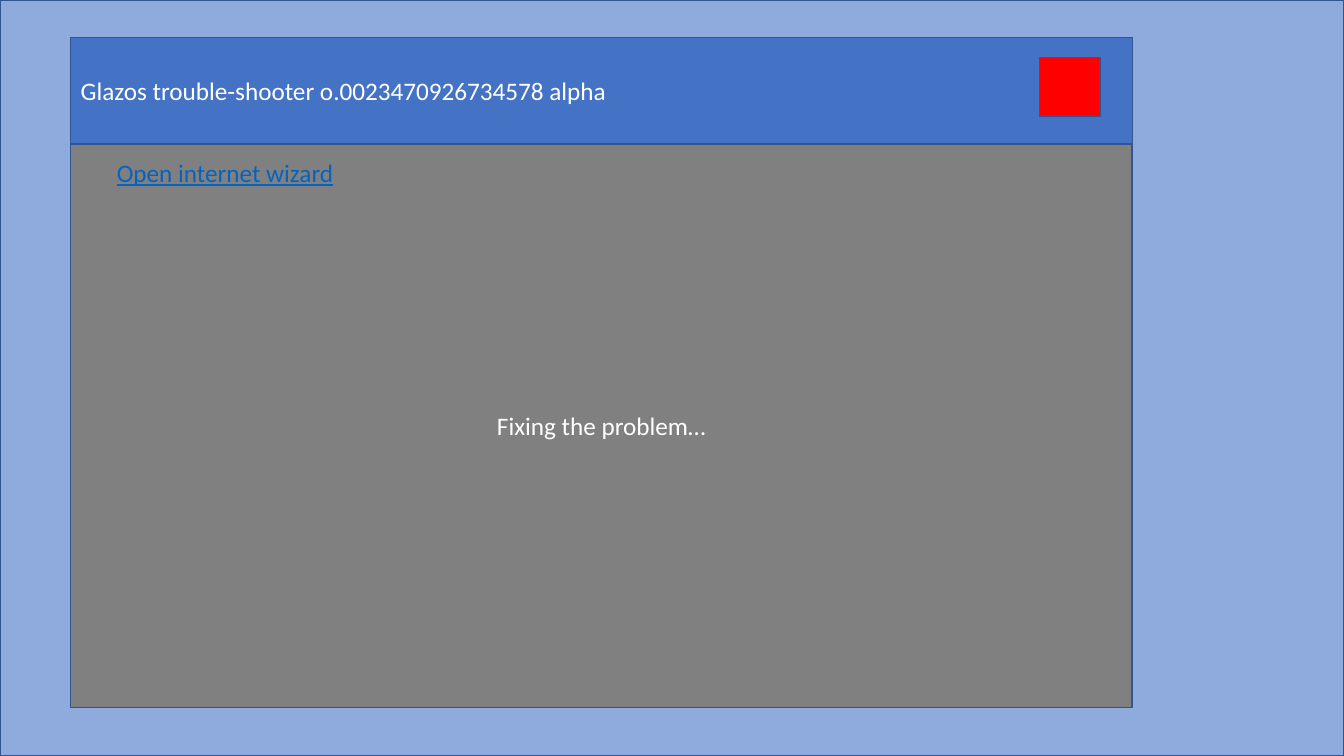
"""Build a slide showing a mock troubleshooter window on a desktop."""
from pptx import Presentation
from pptx.dml.color import RGBColor
from pptx.enum.shapes import MSO_SHAPE
from pptx.enum.text import MSO_ANCHOR, MSO_AUTO_SIZE, PP_ALIGN
from pptx.util import Inches, Pt

TITLE = "Glazos trouble-shooter o.0023470926734578 alpha"
STATUS = "Fixing the problem…"
WIZARD = "Open internet wizard"

COLORS = {
    "desktop": "8FAADC",
    "window": "808080",
    "title_bar": "4472C4",
    "close": "FF0000",
    "outline": "325491",
    "text": "FFFFFF",
    "wizard": "0563C1",
}
SLIDE_W, SLIDE_H = 13.33, 7.5
WINDOW_LEFT, WINDOW_TOP, WINDOW_W = 0.7, 0.37, 10.53
BAR_H, PANE_H = 1.06, 5.59


def rgb(name):
    return RGBColor.from_string(COLORS[name])


def paint(shape, fill):
    shape.fill.solid()
    shape.fill.fore_color.rgb = rgb(fill)
    shape.line.color.rgb = rgb("outline")
    shape.line.width = Pt(1)


def add_panel(slide, box, fill):
    panel = slide.shapes.add_shape(MSO_SHAPE.RECTANGLE, *map(Inches, box))
    panel.shadow.inherit = False
    paint(panel, fill)
    return panel


def write(shape, text, color="text", align=PP_ALIGN.LEFT, anchor=MSO_ANCHOR.MIDDLE):
    frame = shape.text_frame
    frame.text = text
    frame.word_wrap = True
    frame.auto_size = MSO_AUTO_SIZE.NONE
    frame.vertical_anchor = anchor
    paragraph = frame.paragraphs[0]
    paragraph.alignment = align
    font = paragraph.font
    font.name, font.size = "Calibri", Pt(18)
    font.color.rgb = rgb(color)
    return paragraph


def main():
    deck = Presentation()
    deck.slide_width, deck.slide_height = Inches(SLIDE_W), Inches(SLIDE_H)
    slide = deck.slides.add_slide(deck.slide_layouts[5])

    add_panel(slide, (0, 0, SLIDE_W, SLIDE_H), "desktop")
    pane_box = (WINDOW_LEFT, WINDOW_TOP + BAR_H, WINDOW_W, PANE_H)
    window = add_panel(slide, pane_box, "window")
    write(window, STATUS, align=PP_ALIGN.CENTER)

    title_bar = slide.shapes.title
    title_bar.left, title_bar.top = Inches(WINDOW_LEFT), Inches(WINDOW_TOP)
    title_bar.width, title_bar.height = Inches(WINDOW_W), Inches(BAR_H)
    paint(title_bar, "title_bar")
    write(title_bar, TITLE)
    window._element.addnext(title_bar._element)

    add_panel(slide, (10.31, 0.57, 0.6, 0.58), "close")

    wizard_box = map(Inches, (1.06, 1.51, 7.35, 0.4))
    wizard = slide.shapes.add_textbox(*wizard_box)
    write(wizard, WIZARD, "wizard", anchor=MSO_ANCHOR.TOP).font.underline = True
    wizard.text_frame.auto_size = MSO_AUTO_SIZE.SHAPE_TO_FIT_TEXT

    deck.save("out.pptx")


if __name__ == "__main__":
    main()
